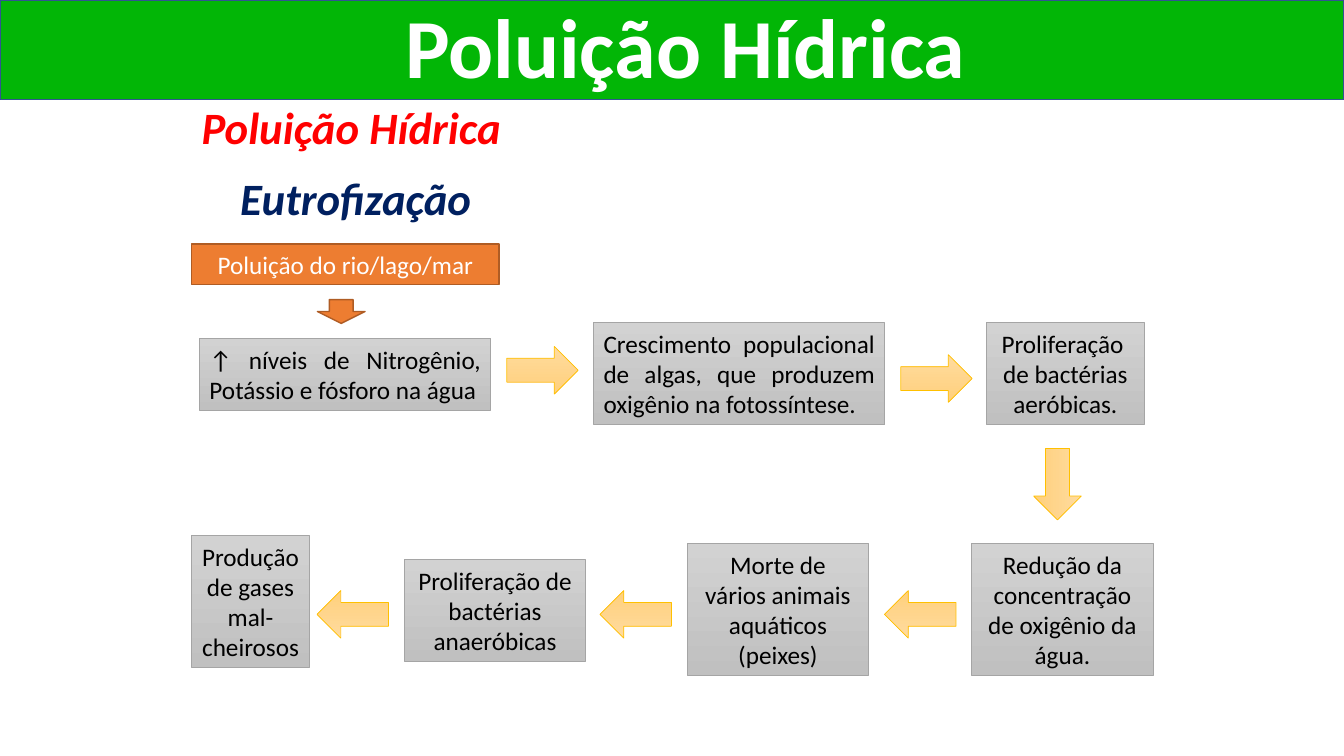
import pptx
import pptx.util
import pptx.dml.color
import pptx.enum.shapes
import pptx.enum.text

Cm = pptx.util.Cm
Pt = pptx.util.Pt
SHAPE = pptx.enum.shapes.MSO_SHAPE
ALIGN = pptx.enum.text.PP_ALIGN
ANCHOR = pptx.enum.text.MSO_ANCHOR
GREY = ("D2D2D2", "C0C0C0")
YELLOW = ("FFDB9E", "FFD07C")
ARROW_LENGTH, ARROW_WIDTH, ARROW_GAP = 1.8, 1.2, 0.4


def color(value):
    return pptx.dml.color.RGBColor.from_string(value)


def style_font(font, size, value, bold=False, italic=False):
    font.name = "Calibri"
    font.size = Pt(size)
    font.bold = bold
    font.italic = italic
    font.color.rgb = color(value)


def add_block(slide, kind, box, fills, outline, weight):
    block = slide.shapes.add_shape(kind, *map(Cm, box))
    block.shadow.inherit = False
    if len(fills) == 1:
        block.fill.solid()
        block.fill.fore_color.rgb = color(fills[0])
    else:
        block.fill.gradient()
        block.fill.gradient_angle = 270
        for stop, value in zip(block.fill.gradient_stops, fills):
            stop.color.rgb = color(value)
    block.line.color.rgb = color(outline)
    block.line.width = Pt(weight)
    return block


def write_label(block, text, value, align):
    frame = block.text_frame
    frame.word_wrap = True
    frame.text = text
    for paragraph in frame.paragraphs:
        paragraph.alignment = align
        style_font(paragraph.font, 18, value)


def add_banner(slide, box):
    left, top, width, height = box
    band = add_block(slide, SHAPE.RECTANGLE, box, ["02B606"], "325491", 1)
    slide.shapes._spTree.insert(2, band._element)
    title = slide.shapes.title
    title.left, title.top = Cm(left + 1.6), Cm(top + 0.05)
    title.width, title.height = Cm(width - 2.52), Cm(height - 0.05)
    frame = title.text_frame
    frame.text = "Poluição Hídrica"
    frame.word_wrap = True
    frame.auto_size = pptx.enum.text.MSO_AUTO_SIZE.NONE
    frame.vertical_anchor = ANCHOR.BOTTOM
    heading = frame.paragraphs[0]
    heading.alignment = ALIGN.CENTER
    heading.line_spacing = 0.8
    style_font(heading.font, 60, "FFFFFF", bold=True)


def add_topic(slide, box):
    frame = slide.shapes.add_textbox(*map(Cm, box)).text_frame
    frame.word_wrap = True
    frame.text = "Poluição Hídrica\nEutrofização"
    topic, subtopic = frame.paragraphs
    subtopic.space_before = Pt(12)
    subtopic._p.get_or_add_pPr().set("marL", str(Cm(0.97)))
    style_font(topic.font, 32, "FF0000", bold=True, italic=True)
    style_font(subtopic.font, 32, "002060", bold=True, italic=True)


def add_cause(slide, box):
    left, top, width, height = box
    cause = add_block(slide, SHAPE.RECTANGLE, (left, top, width, 1.02), ["ED7D31"], "AF5C24", 1)
    write_label(cause, "Poluição do rio/lago/mar", "FFFFFF", ALIGN.CENTER)
    arrow_box = (left + 3.17, top + height - 0.6, 1.2, 0.6)
    add_block(slide, SHAPE.DOWN_ARROW, arrow_box, ["ED7D31"], "AF5C24", 1)


def add_flow_arrow(slide, center_x, center_y, rotation):
    box = (center_x - ARROW_LENGTH / 2, center_y - ARROW_WIDTH / 2, ARROW_LENGTH, ARROW_WIDTH)
    arrow = add_block(slide, SHAPE.RIGHT_ARROW, box, YELLOW, "FFC000", 0.5)
    arrow.rotation = rotation


def add_flow_row(slide, origin, steps, arrow_levels, leftward=False):
    left, top = origin
    for text, align, x, y, width, height in steps:
        step = add_block(slide, SHAPE.RECTANGLE, (left + x, top + y, width, height), GREY, "A5A5A5", 0.5)
        write_label(step, text, "000000", align)
    reach = ARROW_GAP + ARROW_LENGTH / 2
    for (_, _, x, _, width, _), level in zip(steps, arrow_levels):
        center_x = left + (x - reach if leftward else x + width + reach)
        add_flow_arrow(slide, center_x, top + level, 180 if leftward else 0)


def main():
    deck = pptx.Presentation()
    deck.slide_width, deck.slide_height = Cm(33.87), Cm(19.05)
    slide = deck.slides.add_slide(deck.slide_layouts[5])
    add_banner(slide, (0, 0, 33.87, 2.51))
    add_topic(slide, (4.83, 2.39, 24.2, 3.7))
    add_cause(slide, (4.83, 6.15, 7.75, 2))
    growth = [
        ("↑ níveis de Nitrogênio, Potássio e fósforo na água", ALIGN.JUSTIFY, 0, 0.4, 7.34, 1.8),
        ("Crescimento populacional de algas, que produzem oxigênio na fotossíntese.",
         ALIGN.JUSTIFY, 9.93, 0, 7.34, 2.57),
        ("Proliferação \nde bactérias aeróbicas.", ALIGN.CENTER, 19.84, 0, 3.96, 2.57),
    ]
    decline = [
        ("Redução da concentração de oxigênio da água.", ALIGN.CENTER, 19.66, 0.2, 4.57, 3.33),
        ("Morte de vários animais aquáticos (peixes)", ALIGN.CENTER, 12.49, 0.2, 4.57, 3.33),
        ("Proliferação de bactérias anaeróbicas", ALIGN.CENTER, 5.36, 0.61, 4.57, 2.57),
        ("Produção de gases mal-cheirosos", ALIGN.CENTER, 0, 0, 2.97, 3.33),
    ]
    add_flow_row(slide, (5.03, 8.13), growth, [1.2, 1.41])
    add_flow_arrow(slide, 26.65, 12.2, 90)
    add_flow_row(slide, (4.83, 13.49), decline, [1.99] * 3, leftward=True)
    deck.save("out.pptx")


if __name__ == "__main__":
    main()
